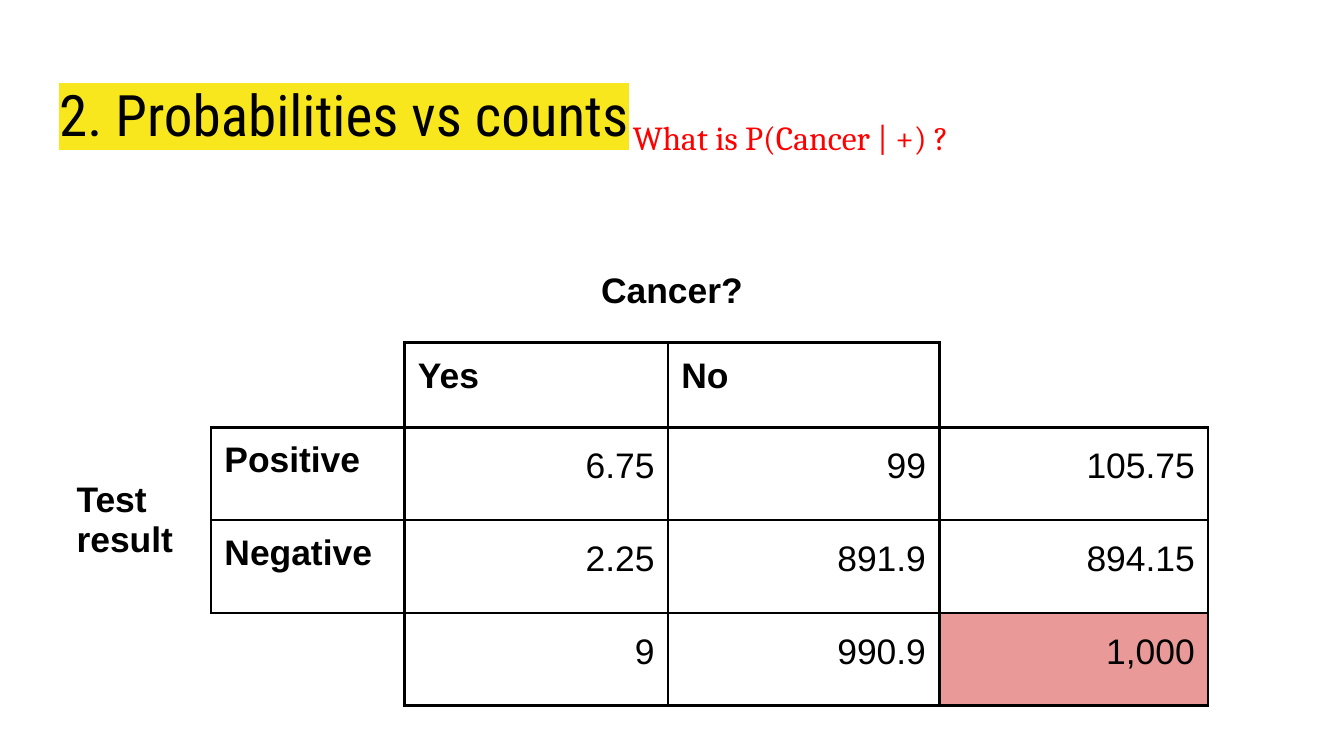
from lxml import etree
from pptx import Presentation
from pptx.dml.color import RGBColor
from pptx.enum.text import MSO_ANCHOR, MSO_AUTO_SIZE, PP_ALIGN
from pptx.oxml.ns import qn
from pptx.util import Inches, Pt

TOP, MIDDLE = MSO_ANCHOR.TOP, MSO_ANCHOR.MIDDLE
LEFT, CENTER, RIGHT = PP_ALIGN.LEFT, PP_ALIGN.CENTER, PP_ALIGN.RIGHT
COLORS = {"ink": "000000", "marker": "F8E71C", "question": "FF0000", "total": "EA9999"}
TITLE_ONLY = 5
MARGIN = Inches(0.1)


def write(tf, text, font="Arial", size=19, color="ink", bold=False,
          align=LEFT, spacing=1.0, highlight=None):
    tf.word_wrap = True
    tf.margin_left = tf.margin_right = tf.margin_top = tf.margin_bottom = MARGIN
    p = tf.paragraphs[0]
    p.alignment, p.line_spacing = align, spacing
    r = p.add_run()
    r.text = text
    r.font.size, r.font.bold = Pt(size), bold
    r.font.color.rgb = RGBColor.from_string(COLORS[color])
    if highlight:
        mark = etree.SubElement(r.font._element, qn("a:highlight"))
        etree.SubElement(mark, qn("a:srgbClr"), val=COLORS[highlight])
    r.font.name = font


def set_border(cell, side, visible):
    tcPr = cell._tc.get_or_add_tcPr()
    ln = etree.SubElement(tcPr, qn(f"a:ln{side}"), w=str(Pt(1.5)))
    if visible:
        fill = etree.SubElement(ln, qn("a:solidFill"))
        etree.SubElement(fill, qn("a:srgbClr"), val=COLORS["ink"])
    else:
        etree.SubElement(ln, qn("a:noFill"))


prs = Presentation()
prs.slide_width = Inches(10)
prs.slide_height = prs.slide_width * 9 // 16
s = prs.slides.add_slide(prs.slide_layouts[TITLE_ONLY])

title = s.shapes.title
title.left, title.top = Inches(0.34), Inches(0.49)
title.width, title.height = Inches(9.32), Inches(0.63)
tf = title.text_frame
tf.auto_size, tf.vertical_anchor = MSO_AUTO_SIZE.NONE, TOP
write(tf, "2. Probabilities vs counts", font="Roboto Condensed", size=30.6,
      highlight="marker")

# Contingency table: headings on top and at left, counts, then totals
ROWS = [
    ["", "", "Cancer?", "", ""],
    ["", "", "Yes", "No", ""],
    ["Test result", "Positive", "6.75", "99", "105.75"],
    ["", "Negative", "2.25", "891.9", "894.15"],
    ["", "", "9", "990.9", "1,000"],
]
COL_WIDTHS = [1.1, 1.44, 1.96, 2.02, 2]
ROW_HEIGHTS = [0.63, 0.63, 0.69, 0.69, 0.69]
NEIGHBOURS = {"L": (0, -1), "R": (0, 1), "T": (-1, 0), "B": (1, 0)}

# Only filled cells inside the outer headings are framed
framed = {(i, j) for i, row in enumerate(ROWS) for j, text in enumerate(row)
          if text and i > 0 and j > 0}

frame = s.shapes.add_table(len(ROWS), len(COL_WIDTHS), Inches(0.47), Inches(1.92),
                           Inches(sum(COL_WIDTHS)), Inches(sum(ROW_HEIGHTS)))
table = frame.table
table.first_row = table.horz_banding = False
for column, width in zip(table.columns, COL_WIDTHS):
    column.width = Inches(width)
for row, height in zip(table.rows, ROW_HEIGHTS):
    row.height = Inches(height)
table.cell(0, 2).merge(table.cell(0, 3))
table.cell(2, 0).merge(table.cell(3, 0))

for i, row in enumerate(ROWS):
    for j, text in enumerate(row):
        cell = table.cell(i, j)
        for side, (di, dj) in NEIGHBOURS.items():
            set_border(cell, side, bool({(i, j), (i + di, j + dj)} & framed))
        cell.fill.background()
        cell.margin_left = cell.margin_right = MARGIN
        cell.margin_top = cell.margin_bottom = MARGIN
        if not text:
            continue
        if i > 1 and j > 1:
            write(cell.text_frame, text, align=RIGHT, spacing=1.15)
        else:
            write(cell.text_frame, text, bold=True, align=CENTER if i == 0 else LEFT)
        cell.vertical_anchor = MIDDLE if j == 0 else TOP

grand_total = table.cell(4, 4)
grand_total.fill.solid()
grand_total.fill.fore_color.rgb = RGBColor.from_string(COLORS["total"])

question = s.shapes.add_textbox(Inches(4.61), Inches(0.77), Inches(5.12), Inches(0.5))
write(question.text_frame, "What is P(Cancer | +) ?", font="Cambria", size=18,
      color="question")

prs.save("out.pptx")
